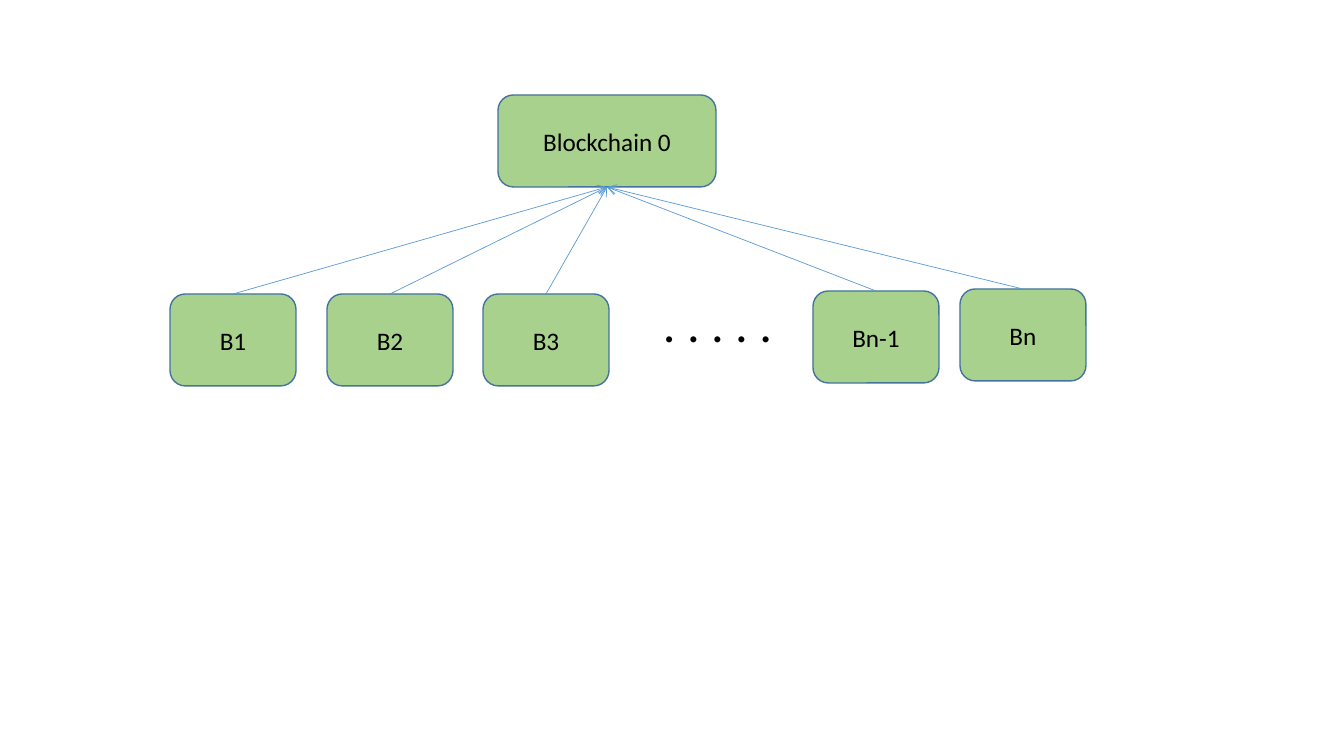
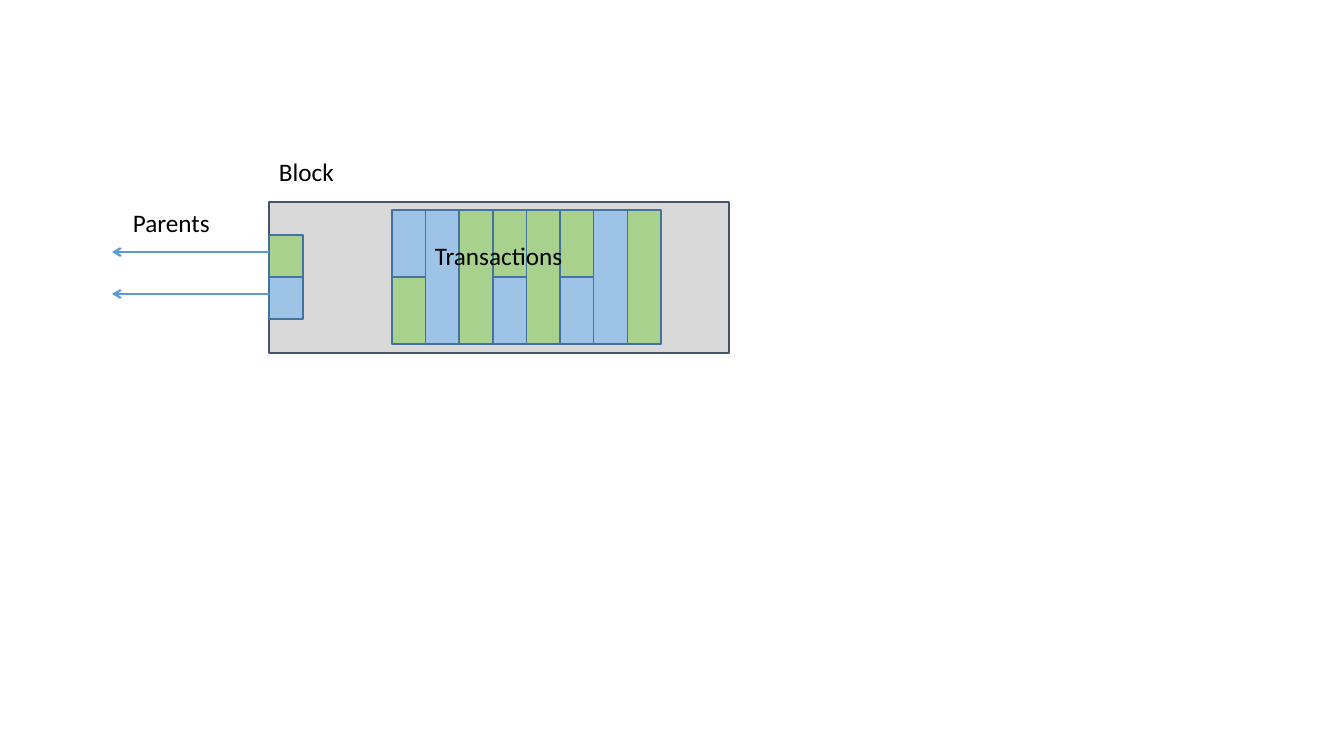
from lxml import etree
from pptx import Presentation
from pptx.dml.color import RGBColor
from pptx.enum.shapes import MSO_CONNECTOR, MSO_SHAPE
from pptx.enum.text import MSO_ANCHOR, MSO_AUTO_SIZE, PP_ALIGN
from pptx.oxml.ns import qn
from pptx.util import Emu, Pt

# Content: lengths in pixels
ROOT = ("Blockchain 0", 498, 95, 218)
CHAINS = [("B1", 170, 294), ("B2", 327, 294), ("B3", 483, 294),
          ("Bn-1", 813, 291), ("Bn", 960, 289)]
CHAIN_WIDTH, CHAIN_HEIGHT = 126, 92
DOTS = (". . . . .", 653, 287, 131, 71)

BLOCK = (269, 202, 460, 151)
PARENTS = ["green", "blue"]
PARENT_TOP, PARENT_WIDTH, PARENT_HEIGHT = 235, 34, 42
ARROW_END, ARROW_OFFSET = 112, 17
# One tuple per column, cells from top to bottom
TRANSACTIONS = [("blue", "green"), ("blue",), ("green",), ("green", "blue"),
                ("green",), ("green", "blue"), ("blue",), ("green",)]
GRID_LEFT, GRID_TOP, GRID_WIDTH, GRID_HEIGHT = 392, 210, 269, 134
LABELS = [("Block", 269, 151, 76, 40), ("Parents", 123, 202, 98, 40),
          ("Transactions", 425, 235, 149, 40)]

# Shared style
FONT = "Calibri"
COLORS = {"green": "A9D18E", "blue": "9DC3E6", "gray": "D9D9D9", "edge": "43739E",
          "block_edge": "44546A", "arrow": "5B9BD5", "text": "000000"}
SCALE = 914400 / 100.8
TOP_SITE, BOTTOM_SITE = 0, 2


def px(*lengths):
    return [Emu(round(length * SCALE)) for length in lengths]


def color(name):
    return RGBColor.from_string(COLORS[name])


def write(shape, text, size=18, align=PP_ALIGN.LEFT):
    shape.text_frame.text = text
    paragraph = shape.text_frame.paragraphs[0]
    paragraph.alignment = align
    font = paragraph.runs[0].font
    font.name, font.size = FONT, Pt(size)
    font.color.rgb = color("text")


def add_box(slide, box, fill, edge="edge", kind=MSO_SHAPE.RECTANGLE):
    shape = slide.shapes.add_shape(kind, *px(*box))
    shape.shadow.inherit = False
    shape.fill.solid()
    shape.fill.fore_color.rgb = color(fill)
    shape.line.color.rgb = color(edge)
    shape.line.width = Pt(1)
    return shape


def add_chain(slide, text, left, top, width=CHAIN_WIDTH):
    shape = add_box(slide, (left, top, width, CHAIN_HEIGHT), "green",
                    kind=MSO_SHAPE.ROUNDED_RECTANGLE)
    shape.text_frame.vertical_anchor = MSO_ANCHOR.MIDDLE
    write(shape, text, align=PP_ALIGN.CENTER)
    return shape


def add_label(slide, text, *box, size=18):
    label = slide.shapes.add_textbox(*px(*box))
    label.text_frame.word_wrap = False
    label.text_frame.auto_size = MSO_AUTO_SIZE.SHAPE_TO_FIT_TEXT
    write(label, text, size)


def add_arrow(slide, points, width):
    arrow = slide.shapes.add_connector(MSO_CONNECTOR.STRAIGHT, *px(*points))
    arrow.line.color.rgb = color("arrow")
    arrow.line.width = Pt(width)
    etree.SubElement(arrow.line._get_or_add_ln(), qn("a:tailEnd"), type="arrow")
    etree.SubElement(arrow._element.spPr, qn("a:effectLst"))
    return arrow


presentation = Presentation()
presentation.slide_width, presentation.slide_height = px(1344, 756)
blank_layout = presentation.slide_layouts[6]

# Slide 1: chains pointing to the root chain
slide = presentation.slides.add_slide(blank_layout)
root = add_chain(slide, *ROOT)
chains = [add_chain(slide, *chain) for chain in CHAINS]
add_label(slide, *DOTS, size=36)
for chain in chains:
    arrow = add_arrow(slide, (0, 0, 0, 0), 0.5)
    arrow.begin_connect(chain, TOP_SITE)
    arrow.end_connect(root, BOTTOM_SITE)

# Slide 2: a block with its parents and transactions
slide = presentation.slides.add_slide(blank_layout)
add_box(slide, BLOCK, "gray", "block_edge")
block_left = BLOCK[0]
for index, fill in enumerate(PARENTS):
    top = PARENT_TOP + index * PARENT_HEIGHT
    add_box(slide, (block_left, top, PARENT_WIDTH, PARENT_HEIGHT), fill)
    arrow_y = top + ARROW_OFFSET
    add_arrow(slide, (block_left, arrow_y, ARROW_END, arrow_y), 1.5)

column_width = GRID_WIDTH / len(TRANSACTIONS)
for column, fills in enumerate(TRANSACTIONS):
    left = GRID_LEFT + column * column_width
    height = GRID_HEIGHT / len(fills)
    for row, fill in enumerate(fills):
        add_box(slide, (left, GRID_TOP + row * height, column_width, height), fill)
for label in LABELS:
    add_label(slide, *label)

presentation.save("out.pptx")
